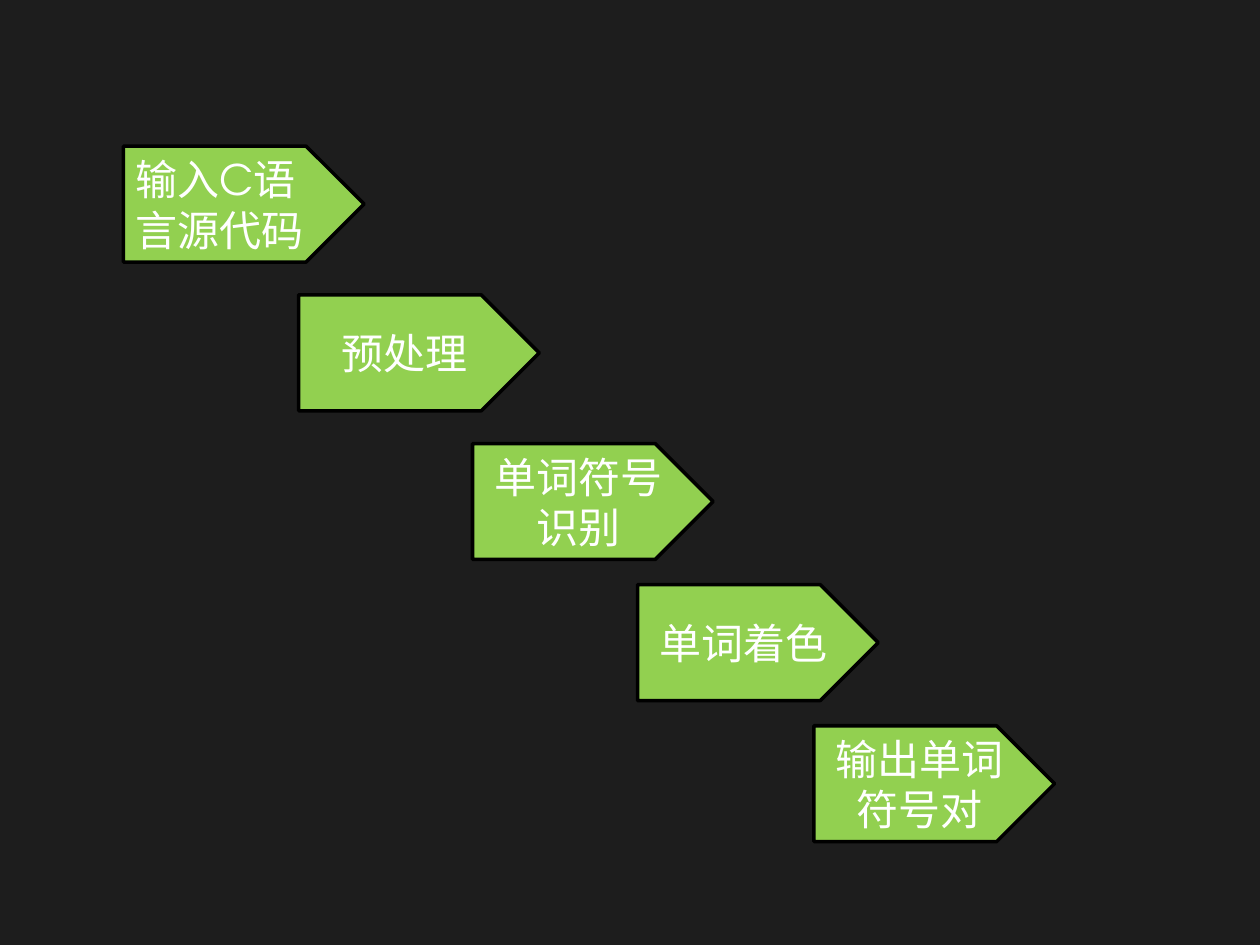
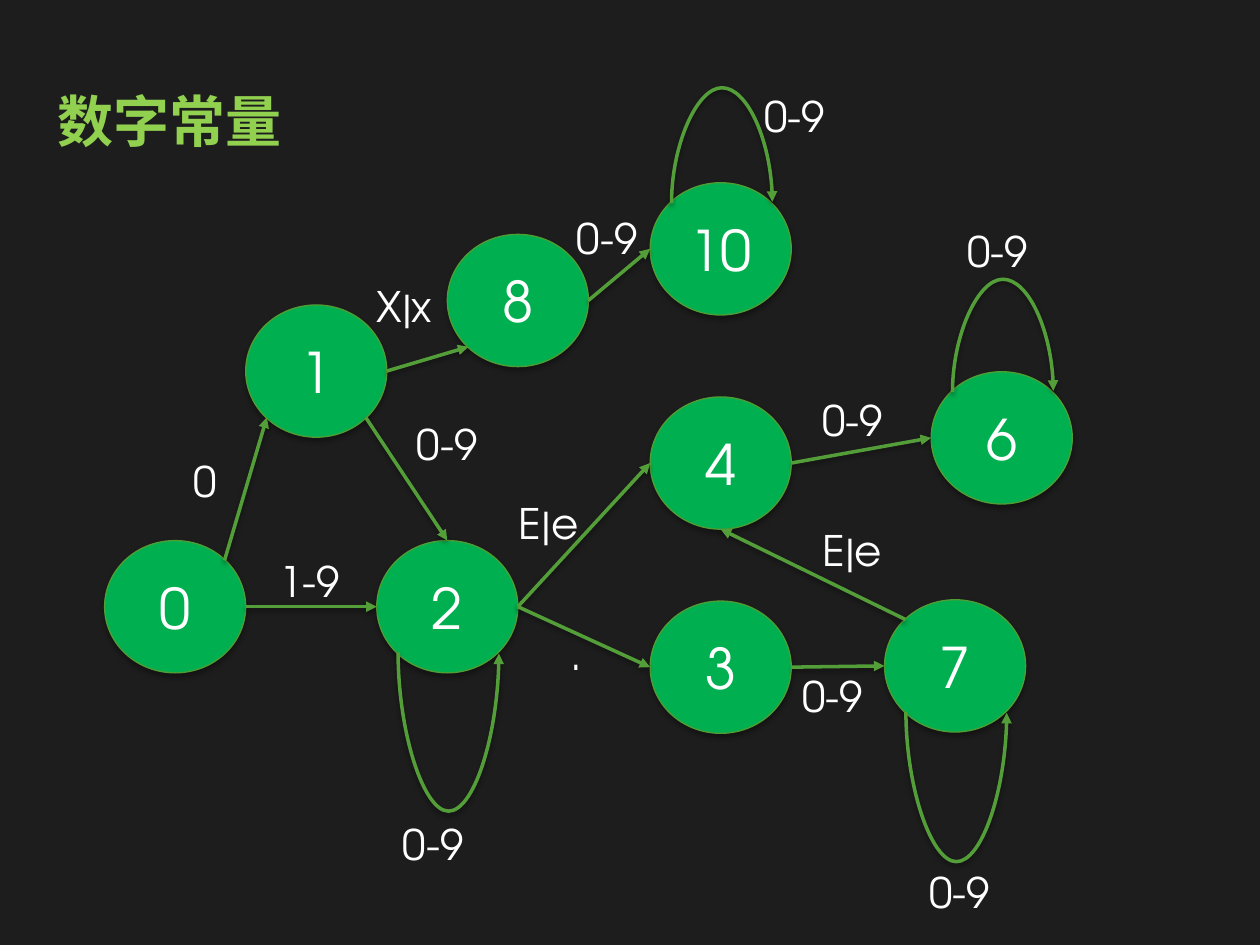
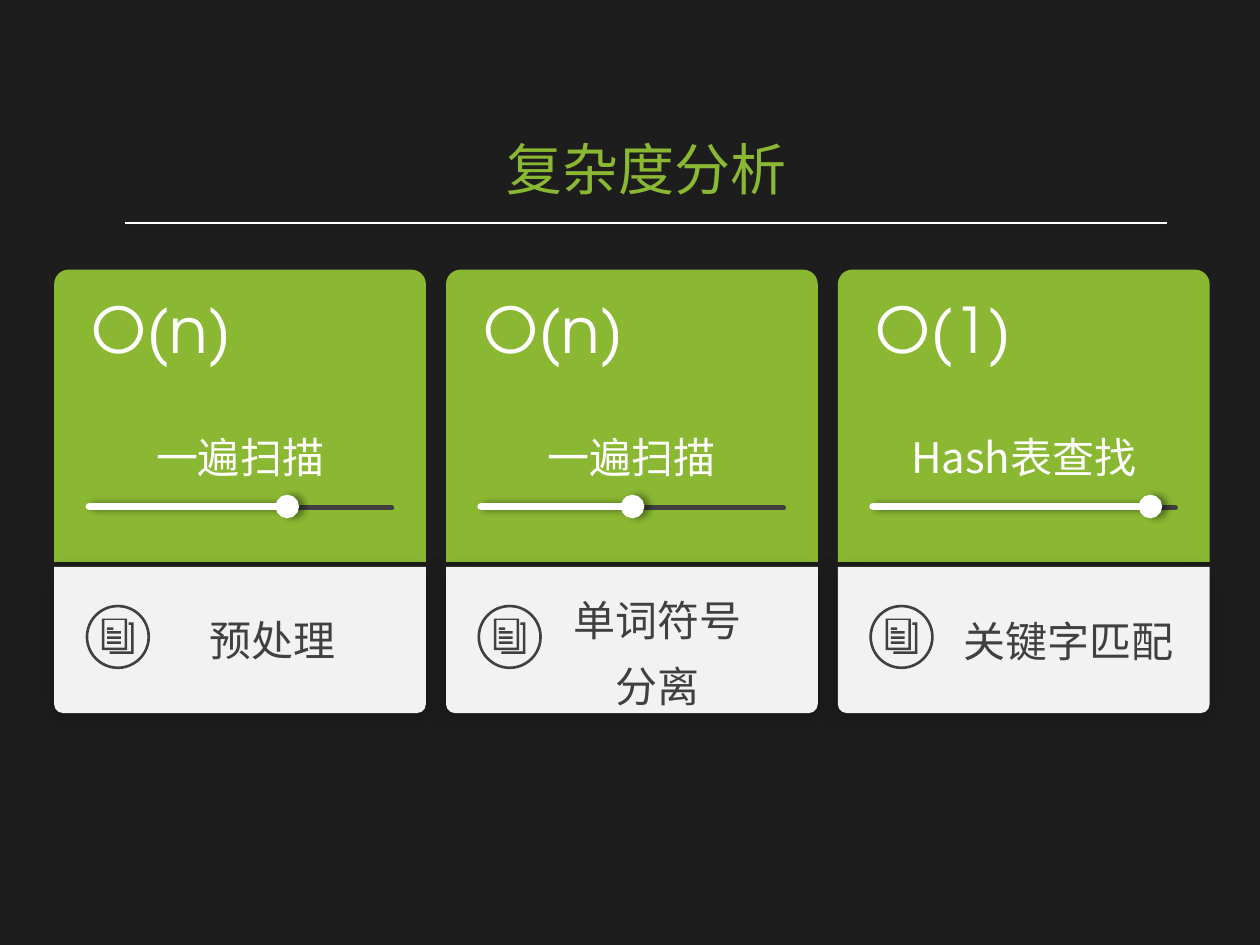
from dataclasses import dataclass

from lxml.etree import SubElement
from pptx import Presentation
from pptx.dml.color import RGBColor
from pptx.enum.shapes import MSO_CONNECTOR, MSO_SHAPE
from pptx.enum.text import MSO_ANCHOR, MSO_AUTO_SIZE, PP_ALIGN
from pptx.oxml.ns import qn
from pptx.shapes.connector import Connector
from pptx.util import Inches, Pt


@dataclass(frozen=True)
class Theme:
    background: str = "1D1D1D"
    lime: str = "92D050"
    olive: str = "8AB833"
    node: str = "00B050"
    node_edge: str = "519D35"
    arrow: str = "549E39"
    white: str = "FFFFFF"
    black: str = "000000"
    pale: str = "F2F2F2"
    dark: str = "404040"
    latin: str = "TeX Gyre Adventor"
    chinese: str = "Noto Sans CJK SC"
    body: int = 24
    heading: int = 32
    display: int = 36
    node_shadow: tuple = (35, 3.1, 1.8, 90)
    line_shadow: tuple = (38, 3.1, 1.6, 90)
    card_shadow: tuple = (20, 13, 3, 90)
    meter_shadow: tuple = (40, 4, 3, 0)


theme = Theme()


def write(box, text, size=theme.body, color=theme.white, font=theme.latin, bold=False,
          align=PP_ALIGN.CENTER, anchor=MSO_ANCHOR.TOP, spacing=None):
    frame = box.text_frame
    layout = {"word_wrap": True, "auto_size": MSO_AUTO_SIZE.NONE, "vertical_anchor": anchor}
    for name, value in layout.items():
        setattr(frame, name, value)
    para = frame.paragraphs[0]
    para.alignment = align
    para.line_spacing = spacing
    span = para.add_run()
    span.text = text
    for name, value in {"size": Pt(size), "name": font, "bold": bold}.items():
        setattr(span.font, name, value)
    span.font.color.rgb = RGBColor.from_string(color)
    SubElement(span.font._element, qn("a:ea"), typeface=theme.chinese)


def paint(shape, fill=None, line=None, width=1, shadow=None, tail=None, cap="flat"):
    if line:
        shape.line.color.rgb = RGBColor.from_string(line)
        shape.line.width = Pt(width)
    else:
        shape.line.fill.background()
    properties = shape._element.spPr
    outline = properties.find(qn("a:ln"))
    outline.set("cap", cap)
    if tail:
        SubElement(outline, qn("a:tailEnd"), type=tail)
    if isinstance(shape, Connector):
        effects = SubElement(properties, qn("a:effectLst"))
    else:
        shape.shadow.inherit = False
        effects = properties.find(qn("a:effectLst"))
        if fill:
            shape.fill.solid()
            shape.fill.fore_color.rgb = RGBColor.from_string(fill)
        else:
            shape.fill.background()
    if shadow:
        alpha, blur, distance, angle = shadow
        outer = SubElement(effects, qn("a:outerShdw"), blurRad=str(Pt(blur)),
                           dist=str(Pt(distance)), dir=str(angle * 60000),
                           algn="ctr", rotWithShape="0")
        tint = SubElement(outer, qn("a:srgbClr"), val=theme.black)
        SubElement(tint, qn("a:alpha"), val=str(alpha * 1000))


deck = Presentation()
deck.slide_width = Inches(10)
deck.slide_height = Inches(7.5)
backdrop = deck.slide_master.background.fill
backdrop.solid()
backdrop.fore_color.rgb = RGBColor.from_string(theme.background)
title_only, blank = deck.slide_layouts[5], deck.slide_layouts[6]

page = deck.slides.add_slide(blank)
steps = [
    (0.98, 1.16, "输入C语言源代码", PP_ALIGN.LEFT),
    (2.37, 2.34, "预处理", PP_ALIGN.CENTER),
    (3.75, 3.52, "单词符号识别", PP_ALIGN.CENTER),
    (5.06, 4.64, "单词着色", PP_ALIGN.CENTER),
    (6.46, 5.76, "输出单词符号对", PP_ALIGN.CENTER),
]
for left, top, text, align in steps:
    step = page.shapes.add_shape(MSO_SHAPE.PENTAGON, Inches(left), Inches(top),
                                 Inches(1.91), Inches(0.92))
    paint(step, fill=theme.lime, line=theme.black, width=2)
    write(step, text, align=align, anchor=MSO_ANCHOR.MIDDLE)

page = deck.slides.add_slide(title_only)
title = page.shapes.title
for name, value in {"left": 0.36, "top": 0.64, "width": 2.2, "height": 0.64}.items():
    setattr(title, name, Inches(value))
write(title, "数字常量", theme.heading, theme.lime, bold=True, align=PP_ALIGN.LEFT)

node_width, node_height = 1.12, 1.05
nodes = {
    "0": (0.83, 4.29), "1": (1.95, 2.42), "6": (7.39, 2.95),
    "3": (5.16, 4.77), "2": (2.99, 4.29), "4": (5.16, 3.15),
    "7": (7.02, 4.76), "8": (3.55, 1.86), "10": (5.16, 1.45),
}
for state, (left, top) in nodes.items():
    node = page.shapes.add_shape(MSO_SHAPE.OVAL, Inches(left), Inches(top),
                                 Inches(node_width), Inches(node_height))
    paint(node, theme.node, theme.node_edge, 0.75, theme.node_shadow)
    write(node, state, theme.heading, anchor=MSO_ANCHOR.MIDDLE)

anchors = {
    "left": (0, 0.5), "right": (1, 0.5), "top": (0.5, 0), "bottom": (0.5, 1),
    "top left": (0.15, 0.15), "top right": (0.85, 0.15),
    "bottom left": (0.15, 0.85), "bottom right": (0.85, 0.85),
}
transitions = [
    ("0", "top right", "1", "bottom left"),
    ("0", "right", "2", "left"),
    ("1", "bottom right", "2", "top"),
    ("2", "right", "4", "left"),
    ("2", "right", "3", "left"),
    ("3", "right", "7", "left"),
    ("4", "right", "6", "left"),
    ("7", "top left", "4", "bottom"),
    ("1", "right", "8", "bottom left"),
    ("8", "right", "10", "left"),
]
for source, source_side, target, target_side in transitions:
    ends = []
    for state, side in ((source, source_side), (target, target_side)):
        ends.append(Inches(nodes[state][0] + anchors[side][0] * node_width))
        ends.append(Inches(nodes[state][1] + anchors[side][1] * node_height))
    arrow = page.shapes.add_connector(MSO_CONNECTOR.STRAIGHT, *ends)
    paint(arrow, line=theme.arrow, width=2, shadow=theme.line_shadow, tail="triangle")

loop_span, loop_depth = 0.8, 0.01
loops = [("2", 1.28, 1), ("7", 1.21, 1), ("6", 0.91, -1), ("10", 0.93, -1)]
for state, reach, direction in loops:
    left, top = nodes[state]
    center_x = left + node_width / 2 + 0.01
    center_y = top + node_height * (0.85 if direction > 0 else 0.15)
    rise = direction * loop_span / 2
    loop = page.shapes.add_connector(
        MSO_CONNECTOR.CURVE,
        Inches(center_x + loop_depth / 2), Inches(center_y - rise),
        Inches(center_x - loop_depth / 2), Inches(center_y + rise))
    properties = loop._element.spPr
    turn = 270 if direction > 0 else 90
    properties.find(qn("a:xfrm")).set("rot", str(turn * 60000))
    geometry = properties.find(qn("a:prstGeom"))
    SubElement(geometry.find(qn("a:avLst")), qn("a:gd"), name="adj1",
               fmla=f"val {round(reach / loop_depth * 100000)}")
    paint(loop, line=theme.arrow, width=2, shadow=theme.line_shadow, tail="triangle")

labels = [
    (3.1, 6.45, 0.7, "0-9"), (7.58, 1.74, 0.7, "0-9"), (7.28, 6.83, 0.7, "0-9"),
    (3.21, 3.27, 0.7, "0-9"), (6.43, 3.08, 0.7, "0-9"), (6.27, 5.27, 0.7, "0-9"),
    (4.48, 1.64, 0.7, "0-9"), (5.97, 0.67, 0.7, "0-9"), (2.12, 4.36, 0.7, "1-9"),
    (4.43, 4.94, 0.7, "."), (1.44, 3.57, 0.86, "0"), (4.02, 3.9, 0.86, "E|e"),
    (6.43, 4.11, 0.86, "E|e"), (2.89, 2.18, 0.86, "X|x"),
]
for left, top, width, text in labels:
    label = page.shapes.add_textbox(Inches(left), Inches(top), Inches(width), Inches(0.5))
    write(label, text, align=PP_ALIGN.LEFT)

page = deck.slides.add_slide(title_only)
title = page.shapes.title
for name, value in {"left": 1.61, "top": 1.02, "width": 7.04, "height": 0.64}.items():
    setattr(title, name, Inches(value))
write(title, "复杂度分析", theme.heading, theme.olive, theme.chinese)
rule = page.shapes.add_connector(MSO_CONNECTOR.STRAIGHT, Inches(0.99), Inches(1.77),
                                 Inches(9.26), Inches(1.77))
paint(rule, line=theme.white, shadow=theme.line_shadow)

icon_outlines = [
    [[(32, 35), (12, 35), (12, 10), (32, 10)], [(14, 33), (30, 33), (30, 11), (14, 11)]],
    [[(37, 38), (18, 38), (18, 36), (35, 36), (35, 15), (33, 15), (33, 13), (37, 13)]],
]
icon_bars = [(0.20, 0.11), (0.24, 0.11), (0.28, 0.11), (0.17, 0.05)]
cards = [
    ("O(n)", "一遍扫描", 1.57, "预处理", 0.83, 4.71, 1.81, 0.63),
    ("O(n)", "一遍扫描", 1.2, "单词符号分离", 0.77, 4.55, 1.81, 1.15),
    ("O(1)", "Hash表查找", 2.2, "关键字匹配", 0.86, 4.72, 1.94, 0.63),
]
for index, (order, method, progress, stage, inset, top, width, height) in enumerate(cards):
    left = 0.43 + 3.11 * index
    panels = [
        (2.14, 2.32, (0.049, 0), theme.olive, None),
        (4.5, 1.16, (0, 0.061), theme.pale, theme.card_shadow),
    ]
    for panel_top, panel_height, corners, fill, shadow in panels:
        panel = page.shapes.add_shape(MSO_SHAPE.ROUND_2_SAME_RECTANGLE, Inches(left),
                                      Inches(panel_top), Inches(2.95), Inches(panel_height))
        panel.adjustments[0], panel.adjustments[1] = corners
        paint(panel, fill=fill, shadow=shadow)

    box = page.shapes.add_textbox(Inches(left + 0.15), Inches(3.26), Inches(2.65), Inches(0.57))
    write(box, method, font=theme.chinese, spacing=1.3)

    meter_left = left + 0.28
    meters = [
        (4.03, 2.4, {"line": theme.dark, "width": 2.75}),
        (4.02, progress, {"line": theme.white, "width": 4.5, "tail": "oval",
                          "shadow": theme.meter_shadow}),
    ]
    for meter_top, length, style in meters:
        meter = page.shapes.add_connector(MSO_CONNECTOR.STRAIGHT, Inches(meter_left),
                                          Inches(meter_top), Inches(meter_left + length),
                                          Inches(meter_top))
        paint(meter, cap="rnd", **style)

    box = page.shapes.add_textbox(Inches(left + 0.2), Inches(2.26), Inches(1.32), Inches(0.71))
    write(box, order, theme.display, align=PP_ALIGN.LEFT)

    icon = page.shapes.add_group_shape().shapes
    icon_left, icon_top = left + 0.26, 4.81
    ring = icon.add_shape(MSO_SHAPE.OVAL, Inches(icon_left), Inches(icon_top),
                          Inches(0.49), Inches(0.49))
    paint(ring, line=theme.dark, width=1.5)
    for contours in icon_outlines:
        builder = icon.build_freeform(*contours[0][0], scale=Inches(0.01))
        builder.add_line_segments(contours[0][1:], close=True)
        for contour in contours[1:]:
            builder.move_to(*contour[0])
            builder.add_line_segments(contour[1:], close=True)
        sheet = builder.convert_to_shape(Inches(icon_left), Inches(icon_top))
        paint(sheet, fill=theme.dark)
    for bar_top, bar_width in icon_bars:
        bar = icon.add_shape(MSO_SHAPE.RECTANGLE, Inches(icon_left + 0.16),
                             Inches(icon_top + bar_top), Inches(bar_width), Inches(0.02))
        paint(bar, fill=theme.dark)

    box = page.shapes.add_textbox(Inches(left + inset), Inches(top), Inches(width), Inches(height))
    write(box, stage, color=theme.dark, font=theme.chinese, spacing=1.3)

deck.save("out.pptx")
